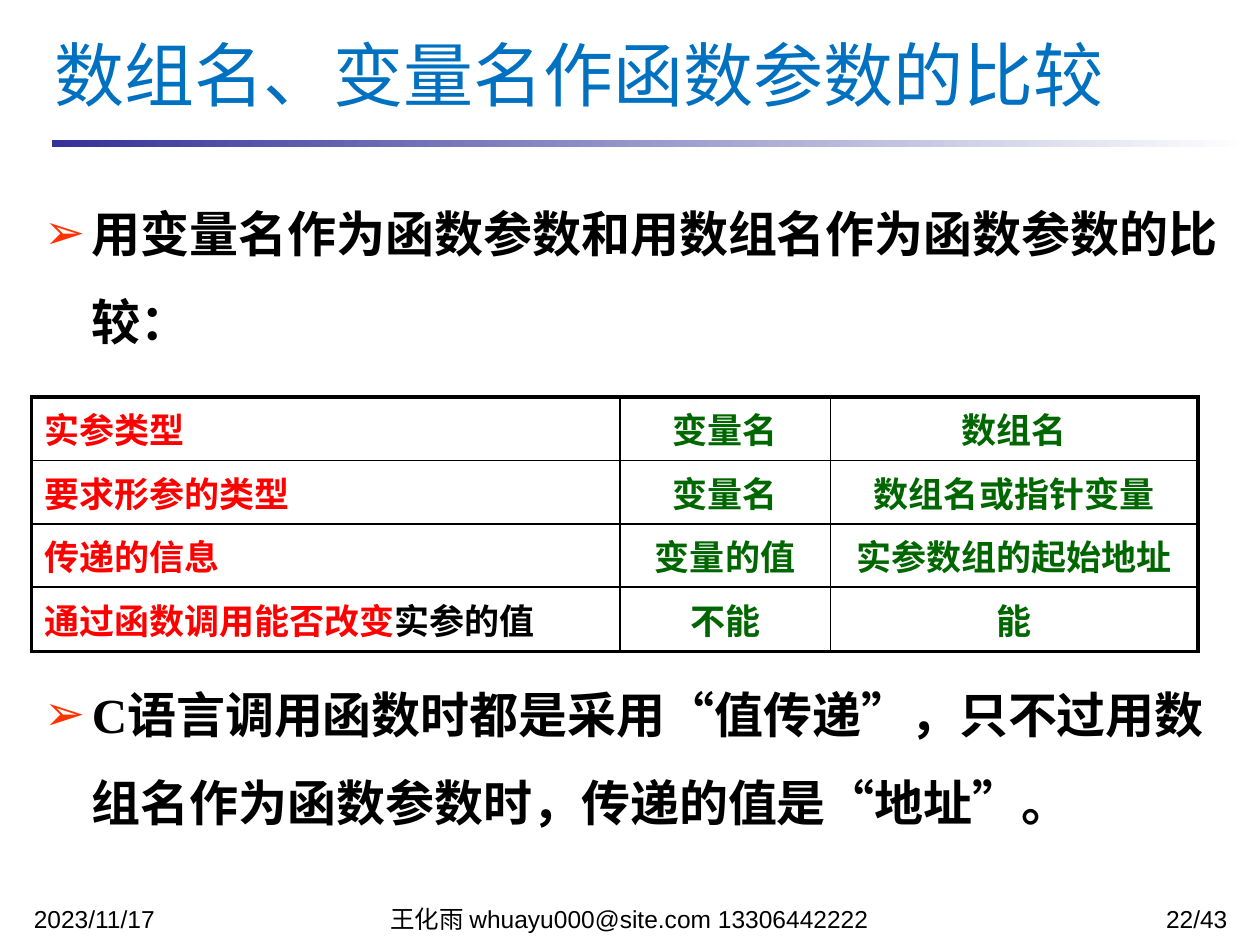
from lxml.etree import SubElement
from pptx import Presentation
from pptx.dml.color import RGBColor
from pptx.enum.shapes import MSO_SHAPE
from pptx.enum.text import MSO_ANCHOR, MSO_AUTO_SIZE, PP_ALIGN
from pptx.oxml import parse_xml
from pptx.oxml.ns import nsdecls, qn
from pptx.util import Inches, Pt

WIDTH, HEIGHT = 10, 7.5
CJK, SERIF, SANS = "Noto Sans CJK SC", "Times New Roman", "Arial"
BLACK, RED, GREEN, TITLE_BLUE = "000000", "FF0000", "006600", "0070C0"
BULLET_RED, RULE_BLUE, WHITE = "FF3300", "333399", "FFFFFF"
THIN, THICK = 1, 2.25

COLUMNS = [4.67, 1.67, 2.92]
ROWS = [0.44, 0.44, 0.45, 0.51]
COMPARISON = [
    ["实参类型", "变量名", "数组名"],
    ["要求形参的类型", "变量名", "数组名或指针变量"],
    ["传递的信息", "变量的值", "实参数组的起始地址"],
    ["通过函数调用能否改变", "不能", "能"],
]
POINTS = [
    # text, space before in points (the second point stands below the table)
    ("用变量名作为函数参数和用数组名作为函数参数的比较：", 5.6),
    ("C语言调用函数时都是采用“值传递”，只不过用数组名作为函数参数时，传递的值是“地址”。", 174),
]
FOOTERS = [
    # left, width, alignment, text
    (0.17, 2.33, PP_ALIGN.LEFT, "2023/11/17"),
    (2.58, 4.83, PP_ALIGN.CENTER, "王化雨 whuayu000@site.com 13306442222"),
    (7.92, 1.92, PP_ALIGN.RIGHT, "22/43"),
]


def color(value):
    return RGBColor.from_string(value)


def place(shape, left, top, width, height):
    shape.left, shape.top = Inches(left), Inches(top)
    shape.width, shape.height = Inches(width), Inches(height)


def style(paragraph, size, latin, ink, bold=False, align=PP_ALIGN.LEFT):
    font = paragraph.font
    font.size, font.name, font.bold = Pt(size), latin, bold
    font.color.rgb = color(ink)
    paragraph.alignment = align
    for run in paragraph.runs:
        east_asian = SubElement(run.font._element, qn("a:ea"))
        east_asian.set("typeface", CJK)


def add_title(slide, text):
    title = slide.shapes.title
    place(title, 0.33, 0.25, 9.34, 0.67)
    title.text_frame.text = text
    title.text_frame.auto_size = MSO_AUTO_SIZE.NONE
    title.text_frame.vertical_anchor = MSO_ANCHOR.MIDDLE
    style(title.text_frame.paragraphs[0], 40, CJK, TITLE_BLUE)


def add_title_rule(slide):
    rule = slide.shapes.add_shape(
        MSO_SHAPE.RECTANGLE, Inches(0.41), Inches(1.11), Inches(9.51), Inches(0.06))
    rule.shadow.inherit = False
    rule.line.fill.background()
    rule.fill.gradient()
    rule.fill.gradient_angle = 0
    for stop, tint, position in zip(rule.fill.gradient_stops, (RULE_BLUE, WHITE), (0, 1)):
        stop.color.rgb = color(tint)
        stop.position = position


def set_bullet(paragraph, indent):
    properties = paragraph._p.get_or_add_pPr()
    properties.set("marL", str(Inches(indent)))
    properties.set("indent", str(-Inches(indent)))
    bullet_color = SubElement(properties, qn("a:buClr"))
    SubElement(bullet_color, qn("a:srgbClr")).set("val", BULLET_RED)
    SubElement(properties, qn("a:buChar")).set("char", "➢")


def add_points(slide, points):
    body = slide.placeholders[1]
    place(body, 0.25, 1.33, 9.54, 5.67)
    frame = body.text_frame
    frame.auto_size = MSO_AUTO_SIZE.NONE
    frame.text = "\n".join(text for text, _ in points)
    for paragraph, (_, space) in zip(frame.paragraphs, points):
        paragraph.line_spacing = 1.5
        paragraph.space_before = Pt(space)
        set_bullet(paragraph, 0.38)
        style(paragraph, 28, SERIF, BLACK, bold=True)


def set_borders(cell, widths):
    """Draw the cell's left, right, top and bottom borders, in that order."""
    properties = cell._tc.get_or_add_tcPr()
    for index, (side, width) in enumerate(zip("LRTB", widths)):
        properties.insert(index, parse_xml(
            f'<a:ln{side} {nsdecls("a")} w="{Pt(width)}"><a:solidFill>'
            f'<a:srgbClr val="{BLACK}"/></a:solidFill></a:ln{side}>'))


def add_comparison(slide, rows):
    table = slide.shapes.add_table(
        len(ROWS), len(COLUMNS), Inches(0.25), Inches(3.15),
        Inches(sum(COLUMNS)), Inches(sum(ROWS))).table
    table.first_row = table.horz_banding = False
    for column, width in zip(table.columns, COLUMNS):
        column.width = Inches(width)
    for row, height in zip(table.rows, ROWS):
        row.height = Inches(height)

    last_row, last_column = len(ROWS) - 1, len(COLUMNS) - 1
    for r, row in enumerate(rows):
        for c, text in enumerate(row):
            cell = table.cell(r, c)
            cell.text = text
            cell.fill.background()
            # Thick frame outside, thin lines inside
            outer = (c == 0, c == last_column, r == 0, r == last_row)
            set_borders(cell, [THICK if edge else THIN for edge in outer])
            paragraph = cell.text_frame.paragraphs[0]
            is_question = c == 0
            if is_question and r == last_row:
                ending = paragraph.add_run()
                ending.text = "实参的值"
                ending.font.color.rgb = color(BLACK)
            style(paragraph, 20, CJK, RED if is_question else GREEN, bold=True,
                  align=PP_ALIGN.JUSTIFY if is_question else PP_ALIGN.CENTER)


def add_footer(slide, left, width, align, text):
    footer = slide.shapes.add_textbox(
        Inches(left), Inches(7.17), Inches(width), Inches(0.18))
    footer.text_frame.word_wrap = True
    footer.text_frame.text = text
    paragraph = footer.text_frame.paragraphs[0]
    paragraph.line_spacing = 0.8
    style(paragraph, 14, SANS, BLACK, align=align)


def main():
    deck = Presentation()
    deck.slide_width, deck.slide_height = Inches(WIDTH), Inches(HEIGHT)
    slide = deck.slides.add_slide(deck.slide_layouts[1])

    # Heading
    add_title_rule(slide)
    add_title(slide, "数组名、变量名作函数参数的比较")
    # Content
    add_points(slide, POINTS)
    add_comparison(slide, COMPARISON)
    # Footer line
    for footer in FOOTERS:
        add_footer(slide, *footer)

    deck.save("out.pptx")


if __name__ == "__main__":
    main()
